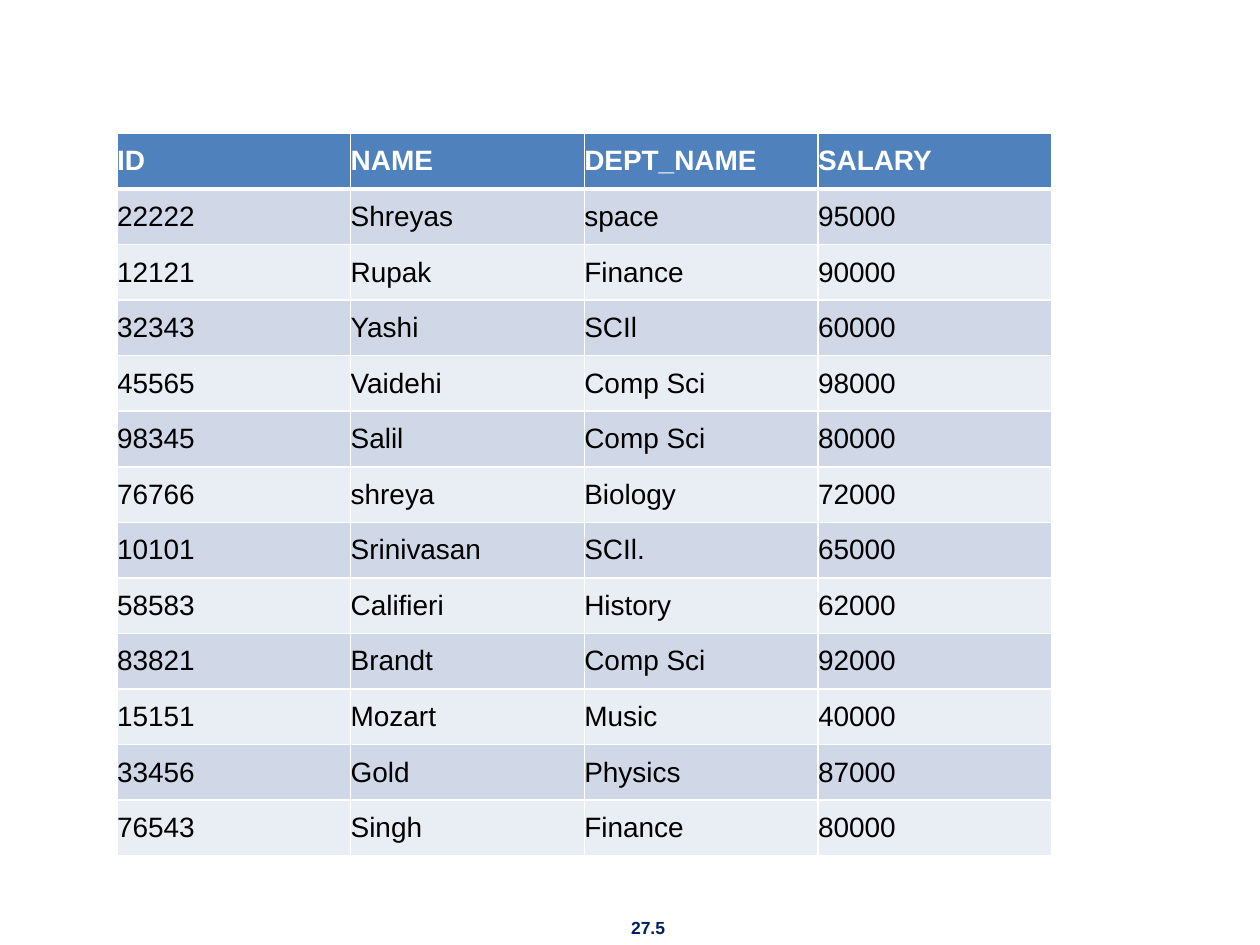
from typing import NamedTuple

from lxml import etree
from pptx import Presentation
from pptx import util as u
from pptx.dml.color import RGBColor
from pptx.enum import text
from pptx.oxml import ns

WHITE, BLACK, NAVY = "FFFFFF", "000000", "002060"
HEAD, BANDS = "4F81BD", ("D0D8E8", "E9EDF4")
COL, ROW = u.Cm(4.71), u.Cm(1.12)


class Staff(NamedTuple):
    id: str
    name: str
    dept: str
    pay: str


class Style(NamedTuple):
    size: int
    color: str
    bold: bool


TITLES = Staff("ID", "NAME", "DEPT_NAME", "SALARY")
STAFF = [
    Staff("22222", "Shreyas", "space", "95000"),
    Staff("12121", "Rupak", "Finance", "90000"),
    Staff("32343", "Yashi", "SCIl", "60000"),
    Staff("45565", "Vaidehi", "Comp Sci", "98000"),
    Staff("98345", "Salil", "Comp Sci", "80000"),
    Staff("76766", "shreya", "Biology", "72000"),
    Staff("10101", "Srinivasan", "SCIl.", "65000"),
    Staff("58583", "Califieri", "History", "62000"),
    Staff("83821", "Brandt", "Comp Sci", "92000"),
    Staff("15151", "Mozart", "Music", "40000"),
    Staff("33456", "Gold", "Physics", "87000"),
    Staff("76543", "Singh", "Finance", "80000"),
]


def paint(color, code: str) -> None:
    color.rgb = RGBColor.from_string(code)


def write(para, words: str, style: Style) -> None:
    run = para.add_run()
    run.text = words
    font = run.font
    font.name, font.size, font.bold = "Arial", u.Pt(style.size), style.bold
    paint(font.color, style.color)


def edge(cell, side: str, width: float) -> None:
    props = cell._tc.get_or_add_tcPr()
    line = etree.SubElement(props, ns.qn(f"a:ln{side}"), w=str(u.Pt(width)))
    fill = etree.SubElement(line, ns.qn("a:solidFill"))
    etree.SubElement(fill, ns.qn("a:srgbClr"), val=WHITE)


def draw_row(table, index: int, staff: Staff, fill: str, style: Style) -> None:
    table.rows[index].height = ROW
    for cell, words in zip(table.rows[index].cells, staff):
        cell.margin_left = cell.margin_right = 0
        cell.margin_top = cell.margin_bottom = 0
        cell.vertical_anchor = text.MSO_ANCHOR.MIDDLE
        # A thick rule parts the header from the body
        for side in "LRTB":
            thick = (index, side) in ((0, "B"), (1, "T"))
            edge(cell, side, 3 if thick else 1)
        cell.fill.solid()
        paint(cell.fill.fore_color, fill)
        write(cell.text_frame.paragraphs[0], words, style)


def draw_table(slide) -> None:
    count = len(STAFF) + 1
    width = len(TITLES)
    table = slide.shapes.add_table(
        count, width, u.Cm(2.36), u.Cm(2.69), COL * width, ROW * count
    ).table
    for col in table.columns:
        col.width = COL
    draw_row(table, 0, TITLES, HEAD, Style(16, WHITE, True))
    for index, staff in enumerate(STAFF, 1):
        fill = BANDS[(index - 1) % 2]
        draw_row(table, index, staff, fill, Style(16, BLACK, False))


def draw_page(slide, label: str) -> None:
    box = slide.shapes.add_textbox(u.Cm(12.34), u.Cm(18.36), u.Cm(1.45), u.Cm(0.69))
    frame = box.text_frame
    frame.word_wrap = False
    frame.vertical_anchor = text.MSO_ANCHOR.MIDDLE
    para = frame.paragraphs[0]
    para.alignment = text.PP_ALIGN.CENTER
    write(para, label, Style(10, NAVY, True))


def main() -> None:
    deck = Presentation()
    deck.slide_width, deck.slide_height = u.Cm(25.4), u.Cm(19.05)
    slide = deck.slides.add_slide(deck.slide_layouts[6])
    # Page number, then the salary table
    draw_page(slide, "27.5")
    draw_table(slide)
    deck.save("out.pptx")


if __name__ == "__main__":
    main()
